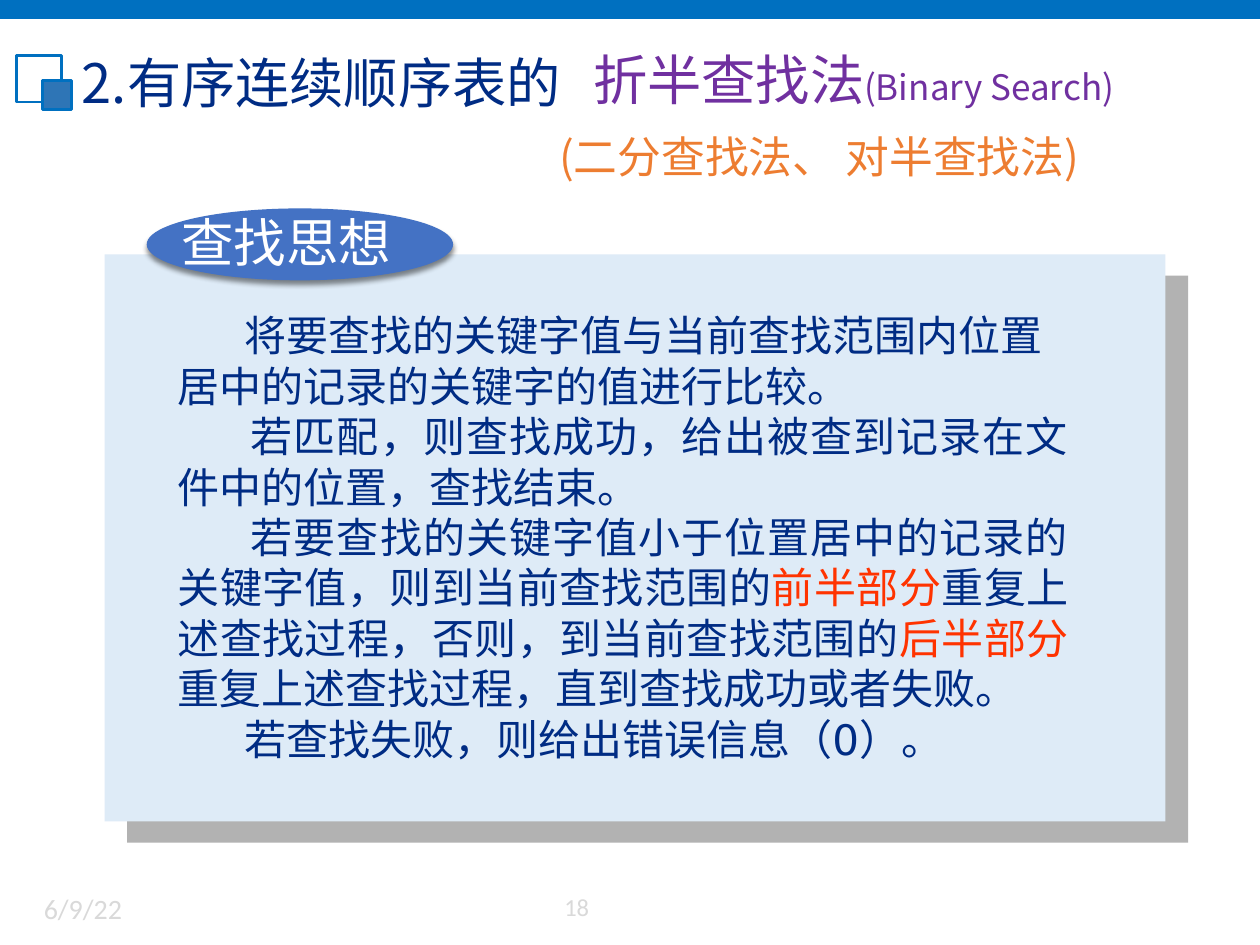
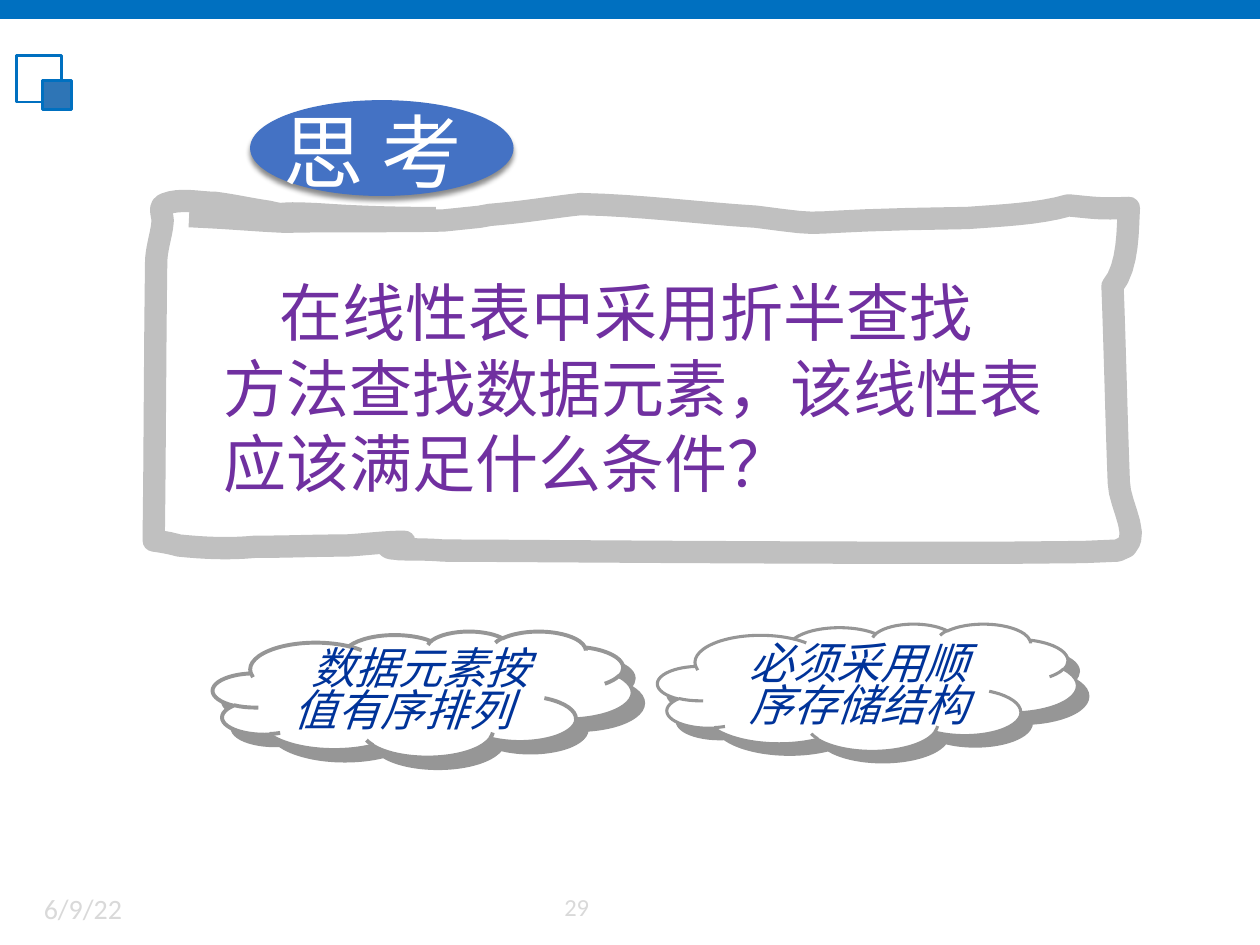
from dataclasses import dataclass
from typing import Optional

from lxml.etree import SubElement
from pptx import Presentation
from pptx.dml.color import RGBColor
from pptx.enum.shapes import MSO_SHAPE
from pptx.enum.text import MSO_ANCHOR, MSO_AUTO_SIZE, PP_ALIGN
from pptx.oxml.ns import qn
from pptx.util import Inches, Pt

COLORS = {
    "band": "0070C0", "square": "2E75B6", "footer": "D9D9D9", "navy": "002C84",
    "purple": "7030A0", "orange": "ED7D31", "red": "FF3300", "panel": "DEEBF7",
    "panel_shadow": "B2B2B2", "badge": "4472C4", "black": "000000", "white": "FFFFFF",
    "frame": "C0C0C0", "cloud": "969696", "answer": "003399",
}
CHINESE_FONT = "Noto Sans CJK SC"
FOOTER_FONT = "Calibri"
DIGIT_FONT = "DejaVu Sans"


@dataclass(frozen=True)
class Box:
    left: float
    top: float
    width: float
    height: float

    def lengths(self) -> tuple:
        return tuple(Inches(v) for v in (self.left, self.top, self.width, self.height))


@dataclass(frozen=True)
class Shadow:
    color: str
    distance: float
    angle: int
    opacity: int = 100
    blur: float = 0


@dataclass(frozen=True)
class Span:
    text: str
    color: Optional[str] = None
    size: Optional[float] = None
    font: Optional[str] = None


@dataclass(frozen=True)
class Line:
    spans: tuple
    indent: float = 0
    align: PP_ALIGN = PP_ALIGN.LEFT


@dataclass(frozen=True)
class Style:
    size: float
    color: str
    font: str = CHINESE_FONT
    italic: bool = False
    spacing: float = 1.0


@dataclass(frozen=True)
class Answer:
    cloud: Box
    text: Box
    lines: tuple
    outline: float


BADGE_SHADOW = Shadow("black", 2.4, 90, 45, 3)
CLOUD_SHADOW = Shadow("cloud", 8.5, 45)
PANEL_SHADOW = Shadow("panel_shadow", 17.7, 43)
ANSWER_STYLE = Style(25, "answer", italic=True, spacing=0.8)

IDEA_LINES = (
    Line((Span("将要查找的关键字值与当前查找范围内位置居中的记录的关键字的值进行比较。"),), 0.53),
    Line((Span("若匹配，则查找成功，给出被查到记录在文件中的位置，查找结束。"),),
         0.58, PP_ALIGN.JUSTIFY),
    Line((Span("若要查找的关键字值小于位置居中的记录的关键字值，则到当前查找范围的"),
          Span("前半部分", "red"),
          Span("重复上述查找过程，否则，到当前查找范围的"),
          Span("后半部分", "red"),
          Span("重复上述查找过程，直到查找成功或者失败。")), 0.58, PP_ALIGN.JUSTIFY),
    Line((Span("若查找失败，则给出错误信息（"), Span("0）", font=DIGIT_FONT), Span("。")), 0.53),
)
QUESTION_LINES = (
    Line((Span("在线性表中采用折半查找"),), 0.45),
    Line((Span("方法查找数据元素，该线性表"),)),
    Line((Span("应该满足什么条件？"),)),
)
ANSWERS = (
    Answer(Box(1.69, 5.01, 3.33, 1), Box(2.23, 5.12, 2.75, 0.77),
           (Line((Span("数据元素按"),), 0.14), Line((Span("值有序排列"),))), 2.25),
    Answer(Box(5.22, 4.95, 3.33, 1.01), Box(5.85, 5.08, 2.45, 0.77),
           (Line((Span("必须采用顺"),)), Line((Span("序存储结构"),))), 1.75),
)
FRAME_START = (1.59, 1.72)
FRAME_CURVES = (
    (1.82, 1.73, 2.03, 1.75, 2.26, 1.76), (2.68, 1.75, 3.1, 1.76, 3.52, 1.75),
    (3.62, 1.74, 3.81, 1.72, 3.81, 1.72), (3.98, 1.69, 3.77, 1.72, 4.05, 1.69),
    (4.24, 1.67, 4.42, 1.64, 4.61, 1.62), (5.08, 1.63, 5.53, 1.69, 6, 1.72),
    (6.7, 1.81, 6.15, 1.75, 7.68, 1.73), (7.94, 1.71, 8.24, 1.7, 8.48, 1.63),
    (8.69, 1.65, 8.72, 1.66, 8.96, 1.65), (8.95, 1.79, 8.96, 2.12, 8.83, 2.27),
    (8.85, 2.79, 8.86, 3.31, 8.88, 3.83), (8.88, 4.01, 9.1, 4.32, 8.87, 4.37),
    (8.67, 4.41, 3.95, 4.37, 3.52, 4.37), (3.4, 4.36, 3.29, 4.36, 3.17, 4.36),
    (3.14, 4.35, 3.1, 4.36, 3.08, 4.34), (3.06, 4.32, 3.22, 4.3, 3.21, 4.3),
    (3.06, 4.3, 2.91, 4.32, 2.75, 4.33), (2.51, 4.33, 2.27, 4.34, 2.02, 4.34),
    (1.82, 4.36, 1.62, 4.35, 1.42, 4.33), (1.35, 4.31, 1.29, 4.3, 1.22, 4.29),
    (1.23, 3.55, 1.23, 2.81, 1.24, 2.08), (1.24, 1.98, 1.28, 1.87, 1.29, 1.77),
    (1.3, 1.72, 1.25, 1.64, 1.31, 1.62), (1.43, 1.57, 1.58, 1.61, 1.71, 1.61),
    (1.86, 1.63, 1.99, 1.66, 2.13, 1.68), (2.3, 1.72, 2.14, 1.68, 2.52, 1.7),
    (2.8, 1.72, 3.09, 1.73, 3.37, 1.73),
)


def rgb(name: str) -> RGBColor:
    return RGBColor.from_string(COLORS[name])


def style_shape(shape, fill: Optional[str], line: Optional[str] = None, width: float = 1,
                shadow: Optional[Shadow] = None) -> None:
    if fill:
        shape.fill.solid()
        shape.fill.fore_color.rgb = rgb(fill)
    else:
        shape.fill.background()
    if line:
        shape.line.color.rgb = rgb(line)
        shape.line.width = Pt(width)
    else:
        shape.line.fill.background()
    shape.shadow.inherit = False
    if shadow:
        effects = shape.element.spPr.find(qn("a:effectLst"))
        outer = SubElement(effects, qn("a:outerShdw"), blurRad=str(Pt(shadow.blur)),
                           dist=str(Pt(shadow.distance)), dir=str(shadow.angle * 60000),
                           algn="ctr", rotWithShape="0")
        color = SubElement(outer, qn("a:srgbClr"), val=COLORS[shadow.color])
        SubElement(color, qn("a:alpha"), val=str(shadow.opacity * 1000))


def add_figure(slide, kind: MSO_SHAPE, box: Box, fill: Optional[str], line: Optional[str] = None,
               width: float = 1, shadow: Optional[Shadow] = None):
    shape = slide.shapes.add_shape(kind, *box.lengths())
    style_shape(shape, fill, line, width, shadow)
    return shape


def format_run(run, span: Span, style: Style) -> None:
    run.font.size = Pt(span.size or style.size)
    run.font.color.rgb = rgb(span.color or style.color)
    run.font.name = span.font or style.font
    run.font.bold = False
    run.font.italic = style.italic
    SubElement(run.font._element, qn("a:ea"), typeface=CHINESE_FONT)


def write_lines(shape, box: Box, lines: tuple, style: Style) -> None:
    shape.left, shape.top, shape.width, shape.height = box.lengths()
    frame = shape.text_frame
    frame.word_wrap = True
    frame.auto_size = MSO_AUTO_SIZE.NONE
    frame.vertical_anchor = MSO_ANCHOR.TOP
    frame.text = "\n".join("" for _ in lines)
    for paragraph, line in zip(frame.paragraphs, lines):
        paragraph.alignment = line.align
        paragraph.line_spacing = style.spacing
        paragraph.space_before = paragraph.space_after = Pt(0)
        properties = paragraph._p.get_or_add_pPr()
        properties.set("marL", "0")
        properties.set("indent", str(Inches(line.indent)))
        SubElement(properties, qn("a:buNone"))
        for span in line.spans:
            run = paragraph.add_run()
            run.text = span.text
            format_run(run, span, style)


def add_label(slide, box: Box, lines: tuple, style: Style) -> None:
    write_lines(slide.shapes.add_textbox(*box.lengths()), box, lines, style)


def write_placeholder(slide, index: int, box: Box, lines: tuple, style: Style) -> None:
    placeholder = slide.placeholders[index]
    write_lines(placeholder, box, lines, style)
    slide.shapes.element.append(placeholder.element)


def add_badge(slide, box: Box) -> None:
    add_figure(slide, MSO_SHAPE.OVAL, box, "badge", "badge", 0.79, BADGE_SHADOW)


def decorate_layout(slide) -> None:
    decorations = (
        add_figure(slide, MSO_SHAPE.RECTANGLE, Box(0, 0, 10, 0.15), "band"),
        add_figure(slide, MSO_SHAPE.RECTANGLE, Box(0.13, 0.44, 0.36, 0.37), None, "band", 1.5),
        add_figure(slide, MSO_SHAPE.RECTANGLE, Box(0.34, 0.64, 0.23, 0.23), "square", "band", 1.5),
    )
    for shape in decorations:
        slide.slide_layout.shapes.element.append(shape.element)


def add_footer(slide, number: str) -> None:
    for box, text, size in ((Box(0.25, 7.03, 1.84, 0.4), "6/9/22", 16),
                            (Box(4.38, 7.03, 0.62, 0.38), number, 14)):
        add_label(slide, box, (Line((Span(text),)),), Style(size, "footer", FOOTER_FONT))


def curve_points(start: tuple, curves: tuple, steps: int = 8) -> list:
    points = []
    x0, y0 = start
    for x1, y1, x2, y2, x3, y3 in curves:
        for step in range(1, steps + 1):
            t = step / steps
            u = 1 - t
            weights = (u ** 3, 3 * u * u * t, 3 * u * t * t, t ** 3)
            points.append(tuple(Inches(sum(w * v for w, v in zip(weights, values)))
                                for values in ((x0, x1, x2, x3), (y0, y1, y2, y3))))
        x0, y0 = x3, y3
    return points


def add_hand_drawn_frame(slide) -> None:
    builder = slide.shapes.build_freeform(*(Inches(v) for v in FRAME_START))
    builder.add_line_segments(curve_points(FRAME_START, FRAME_CURVES), close=False)
    frame = builder.convert_to_shape()
    style_shape(frame, None, "frame", 12.75)
    line = frame.line._get_or_add_ln()
    line.set("cap", "sq")
    SubElement(line, qn("a:round"))


def build_idea_slide(slide) -> None:
    add_footer(slide, "18")
    add_label(slide, Box(4.34, 0.98, 5.17, 0.52),
              (Line((Span("(二分查找法、 对半查找法)"),)),), Style(25, "orange"))
    write_placeholder(slide, 0, Box(0.55, 0.34, 8.98, 0.62),
                      (Line((Span("2.有序连续顺序表的"),)),), Style(31, "navy"))
    add_label(slide, Box(4.61, 0.32, 4.65, 0.62),
              (Line((Span("折半查找法"), Span("(Binary Search)", size=20))),),
              Style(31, "purple"))
    add_figure(slide, MSO_SHAPE.RECTANGLE, Box(0.83, 2.02, 8.42, 4.5), "panel",
               shadow=PANEL_SHADOW)
    write_placeholder(slide, 1, Box(1.31, 2.41, 7.27, 3.74), IDEA_LINES, Style(24, "navy"))
    add_badge(slide, Box(1.17, 1.66, 2.42, 0.56))
    add_label(slide, Box(1.34, 1.62, 2.74, 0.6), (Line((Span("查找思想"),)),),
              Style(30, "white"))


def build_question_slide(slide) -> None:
    add_footer(slide, "29")
    add_hand_drawn_frame(slide)
    write_placeholder(slide, 1, Box(1.67, 2.12, 7.75, 1.9), QUESTION_LINES, Style(36, "purple"))
    for answer in ANSWERS:
        add_figure(slide, MSO_SHAPE.CLOUD, answer.cloud, "white", "cloud", answer.outline,
                   CLOUD_SHADOW)
        add_label(slide, answer.text, answer.lines, ANSWER_STYLE)
    add_badge(slide, Box(1.99, 0.8, 2.08, 0.75))
    write_placeholder(slide, 0, Box(2.15, 0.76, 2.22, 0.87), (Line((Span("思 考"),)),),
                      Style(46, "white"))


def main() -> None:
    presentation = Presentation()
    presentation.slide_width, presentation.slide_height = Inches(10), Inches(7.5)
    layout = presentation.slide_layouts[1]
    idea_slide, question_slide = (presentation.slides.add_slide(layout) for _ in range(2))
    decorate_layout(idea_slide)
    build_idea_slide(idea_slide)
    build_question_slide(question_slide)
    presentation.save("out.pptx")


if __name__ == "__main__":
    main()
